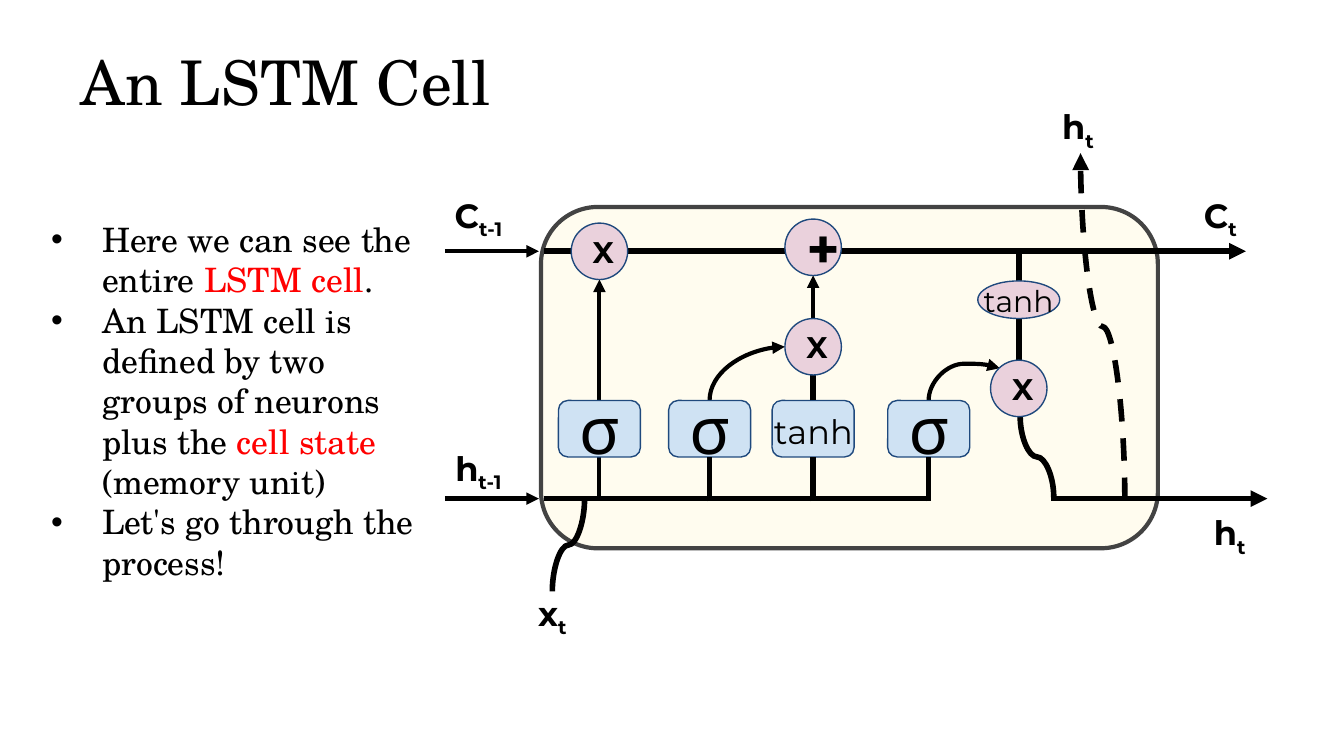
from pptx import Presentation
from pptx.dml.color import RGBColor
from pptx.enum.dml import MSO_LINE
from pptx.enum.shapes import MSO_CONNECTOR, MSO_SHAPE
from pptx.enum.text import MSO_ANCHOR, MSO_AUTO_SIZE, PP_ALIGN
from pptx.oxml.ns import qn
from pptx.util import Inches, Pt
from lxml.etree import SubElement


class Theme:
    serif, sans = "TeX Gyre Schola", "Montserrat"
    ink, red = "000000", "FF0000"
    cell, cell_edge = "FFFCEF", "434343"
    gate, op, edge = "CFE2F3", "EAD1DC", "1F497D"
    title, body, label, sigma, plus, small = 33, 18, 18, 35, 30, 16
    thick, medium, thin = 3, 2.25, 0.75


TITLE = "An LSTM Cell"
BULLETS = [
    [("Here we can see the entire ", Theme.ink), ("LSTM cell", Theme.red), (".", Theme.ink)],
    [("An LSTM cell is defined by two groups of neurons plus the ", Theme.ink),
     ("cell state ", Theme.red), ("(memory unit)", Theme.ink)],
    [("Let's go through the process!", Theme.ink)],
]

# Shared positions of the diagram
STATE_Y, HIDDEN_Y = 1.87, 3.71
FORGET_X, INPUT_X, CANDIDATE_X, OUTPUT_X = 4.46, 5.28, 6.05, 6.91
TANH_X = 7.58
GATE_W, GATE_H, GATE_Y, OP_D = 0.61, 0.42, 3.19, 0.42
GATE_TOP = GATE_Y - GATE_H / 2

# center x, text
GATES = [(FORGET_X, "σ"), (INPUT_X, "σ"), (CANDIDATE_X, ""), (OUTPUT_X, "σ")]
# center x, center y, text, size
OPS = [
    (FORGET_X, 1.87, "X", Theme.small),
    (CANDIDATE_X, 2.58, "X", Theme.small),
    (CANDIDATE_X, 1.84, "+", Theme.plus),
    (TANH_X, 2.89, "X", Theme.small),
]
# start, end, width, arrow
LINES = [
    ((3.31, STATE_Y), (4.01, STATE_Y), Theme.medium, True),
    ((3.31, HIDDEN_Y), (4.01, HIDDEN_Y), Theme.medium, True),
    ((4.05, STATE_Y), (9.27, STATE_Y), Theme.thick, True),
    ((7.82, HIDDEN_Y), (9.43, HIDDEN_Y), Theme.thick, True),
    ((4.05, HIDDEN_Y), (FORGET_X, HIDDEN_Y), Theme.thick, False),
    ((FORGET_X, HIDDEN_Y), (6.89, HIDDEN_Y), Theme.thick, False),
    ((FORGET_X, HIDDEN_Y), (FORGET_X, 2.08), Theme.medium, True),
    ((CANDIDATE_X, 2.37), (CANDIDATE_X, 2.05), Theme.medium, True),
    ((TANH_X, 2.68), (TANH_X, 2.37), Theme.thick, False),
    ((TANH_X, 2.09), (TANH_X, STATE_Y), Theme.thick, False),
]
# start, end, width, arrow, dashed, bend (None for a quarter turn)
CURVES = [
    ((8.37, 3.72), (8.04, 1.14), Theme.thick, True, True, 0.5),
    ((4.11, 4.4), (4.35, HIDDEN_Y), Theme.thick, False, False, 0.5),
    ((INPUT_X, GATE_TOP), (5.84, 2.58), Theme.medium, True, False, None),
    ((OUTPUT_X, GATE_TOP), (7.44, 2.74), Theme.medium, True, False, 1.14),
    ((7.59, 3.1), (7.84, 3.7), Theme.thick, False, False, 0.5),
]
# left, top, base, subscript
SYMBOLS = [
    (3.21, 3.23, "h", "t-1"), (3.21, 1.35, "C", "t-1"), (8.73, 1.35, "C", "t"),
    (8.8, 3.71, "h", "t"), (7.67, 0.69, "h", "t"), (3.76, 4.31, "x", "t"),
]
# left, top, size
TANH_LABELS = [(5.66, 2.96, Theme.label), (7.22, 2.0, Theme.small)]


def rgb(color):
    return RGBColor.from_string(color)


def add_run(p, text, size, font=Theme.sans, color=Theme.ink, bold=False):
    r = p.add_run()
    r.text = text
    r.font.size, r.font.name, r.font.bold = Pt(size), font, bold
    r.font.color.rgb = rgb(color)
    return r


def set_frame(tf, anchor=MSO_ANCHOR.TOP):
    """Wrap the text with equal insets on all sides."""
    tf.word_wrap = True
    tf.vertical_anchor = anchor
    tf.margin_left = tf.margin_right = tf.margin_top = tf.margin_bottom = Inches(0.1)


def place(sp, x, y, w, h):
    sp.left, sp.top, sp.width, sp.height = (Inches(v) for v in (x, y, w, h))


def add_node(s, kind, cx, cy, w, h, fill, edge=Theme.edge, width=Theme.thin):
    sp = s.shapes.add_shape(kind, Inches(cx - w / 2), Inches(cy - h / 2), Inches(w), Inches(h))
    sp.shadow.inherit = False
    sp.fill.solid()
    sp.fill.fore_color.rgb = rgb(fill)
    sp.line.color.rgb = rgb(edge)
    sp.line.width = Pt(width)
    set_frame(sp.text_frame, MSO_ANCHOR.MIDDLE)
    return sp


def add_text_box(s, x, y, w, h):
    tf = s.shapes.add_textbox(Inches(x), Inches(y), Inches(w), Inches(h)).text_frame
    set_frame(tf)
    return tf.paragraphs[0]


def add_line(s, start, end, width, arrow=False, dashed=False, kind=MSO_CONNECTOR.STRAIGHT):
    c = s.shapes.add_connector(kind, *(Inches(v) for v in (*start, *end)))
    c.line.color.rgb = rgb(Theme.ink)
    c.line.width = Pt(width)
    if dashed:
        c.line.dash_style = MSO_LINE.DASH
    if arrow:
        SubElement(c.line._get_or_add_ln(), qn("a:tailEnd"), type="triangle")
    SubElement(c._element.spPr, qn("a:effectLst"))
    return c


def add_curve(s, start, end, width, arrow, dashed, bend):
    """Curve that leaves its start vertically: a connector turned by 90 degrees."""
    (x1, y1), (x2, y2) = start, end
    w, h = abs(y2 - y1), abs(x2 - x1)
    left, top = (x1 + x2 - w) / 2, (y1 + y2 - h) / 2
    c = add_line(s, (left, top), (left + w, top + h), width, arrow, dashed, MSO_CONNECTOR.CURVE)
    xfrm = c._element.spPr.find(qn("a:xfrm"))
    xfrm.set("rot", str((270 if x2 > x1 else 90) * 60000))
    if (x2 > x1) == (y2 > y1):
        xfrm.set("flipH", "1")
    geom = c._element.spPr.find(qn("a:prstGeom"))
    if bend is None:
        geom.set("prst", "curvedConnector2")
    else:
        guides = geom.find(qn("a:avLst"))
        if guides is None:
            guides = SubElement(geom, qn("a:avLst"))
        SubElement(guides, qn("a:gd"), name="adj1", fmla=f"val {round(bend * 100000)}")


def add_words(s):
    title, body = s.shapes.title, s.placeholders[1]
    place(title, 0.5, 0.23, 9, 0.94)
    set_frame(title.text_frame)
    title.text_frame.auto_size = MSO_AUTO_SIZE.NONE
    p = title.text_frame.paragraphs[0]
    p.alignment = PP_ALIGN.LEFT
    add_run(p, TITLE, Theme.title, Theme.serif)

    place(body, 0.28, 1.58, 2.99, 2.83)
    tf = body.text_frame
    tf.word_wrap, tf.auto_size = True, MSO_AUTO_SIZE.SHAPE_TO_FIT_TEXT
    for i, runs in enumerate(BULLETS):
        p = tf.add_paragraph() if i else tf.paragraphs[0]
        p.space_before = Pt(0)
        pPr = p._p.get_or_add_pPr()
        pPr.set("marL", str(Inches(0.38)))
        pPr.set("indent", str(-Inches(0.38)))
        SubElement(pPr, qn("a:buFont"), typeface="Arial")
        SubElement(pPr, qn("a:buChar"), char="•")
        for text, color in runs:
            add_run(p, text, Theme.body, Theme.serif, color)


def add_diagram(s):
    add_node(s, MSO_SHAPE.ROUNDED_RECTANGLE, 6.32, 2.81, 4.59, 2.54,
             Theme.cell, Theme.cell_edge, Theme.medium)
    for line in LINES:
        add_line(s, *line)
    for curve in CURVES:
        add_curve(s, *curve)

    for cx, text in GATES:
        gate = add_node(s, MSO_SHAPE.ROUNDED_RECTANGLE, cx, GATE_Y, GATE_W, GATE_H, Theme.gate)
        if text:
            p = gate.text_frame.paragraphs[0]
            p.alignment = PP_ALIGN.CENTER
            add_run(p, text, Theme.sigma)
        if cx != FORGET_X:
            stem = add_line(s, (cx, 3.73), (cx, 3.4), Theme.thick)
            stem.end_connect(gate, 2)
        if cx == CANDIDATE_X:
            link = add_line(s, (cx, GATE_TOP), (cx, 2.79), Theme.thick)
            link.begin_connect(gate, 0)

    for cx, cy, text, size in OPS:
        op = add_node(s, MSO_SHAPE.OVAL, cx, cy, OP_D, OP_D, Theme.op)
        p = op.text_frame.paragraphs[0]
        p.alignment = PP_ALIGN.LEFT
        add_run(p, text, size, bold=True)
    add_node(s, MSO_SHAPE.OVAL, TANH_X, 2.23, GATE_W, 0.28, Theme.op)

    for x, y, size in TANH_LABELS:
        add_run(add_text_box(s, x, y, 0.83, 0.42), "tanh", size)
    for x, y, base, sub in SYMBOLS:
        p = add_text_box(s, x, y, 0.7, 0.45)
        p.alignment = PP_ALIGN.CENTER
        add_run(p, base, Theme.label, bold=True)
        r = add_run(p, sub, Theme.label, bold=True)
        r.font._element.set("baseline", "-25000")


def main():
    prs = Presentation()
    prs.slide_width = Inches(10)
    prs.slide_height = prs.slide_width * 9 // 16
    s = prs.slides.add_slide(prs.slide_layouts[1])
    add_words(s)
    add_diagram(s)
    prs.save("out.pptx")


if __name__ == "__main__":
    main()
